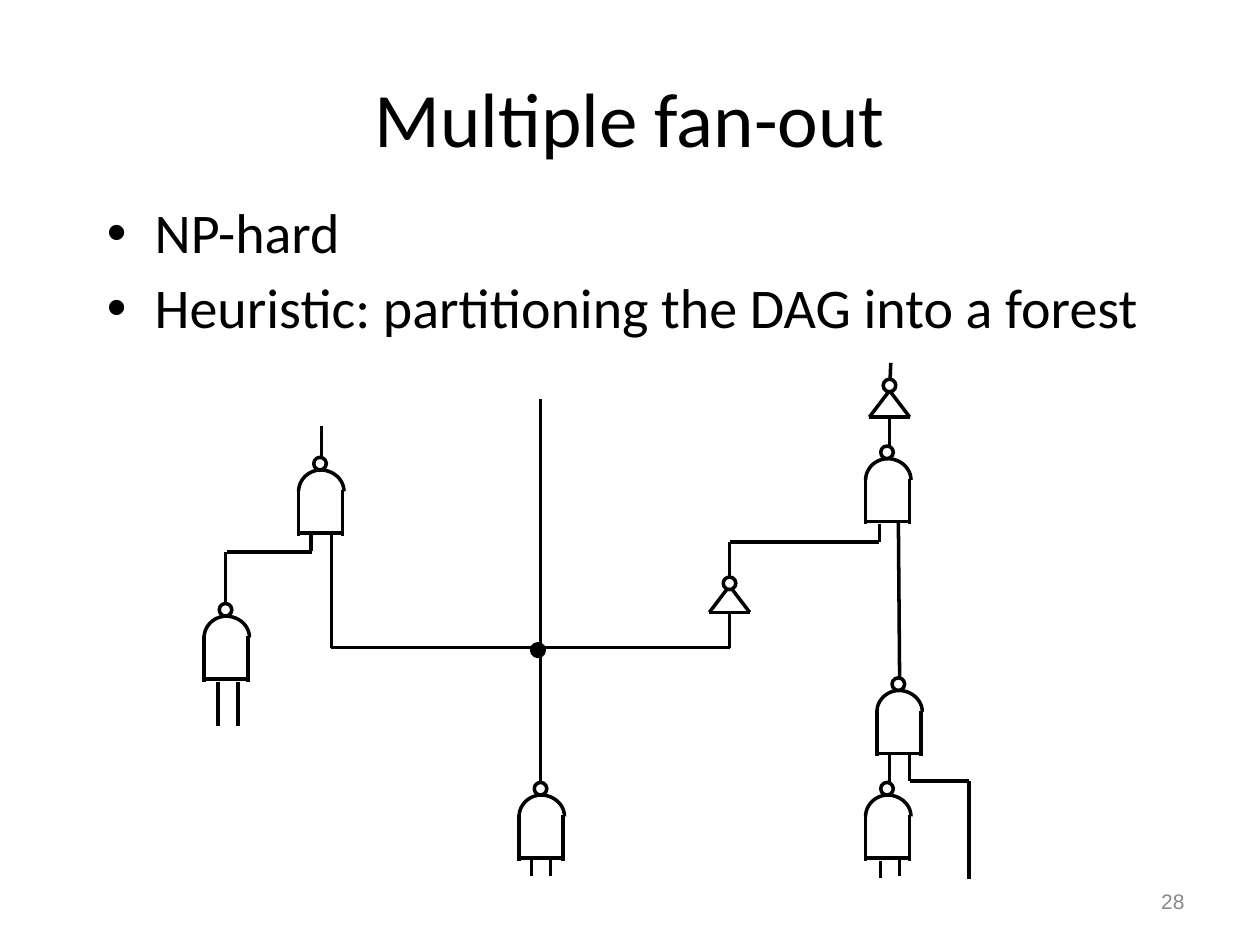
from dataclasses import dataclass
from itertools import pairwise
from math import cos, pi, sin

from lxml import etree
from pptx import Presentation
from pptx.dml.color import RGBColor
from pptx.enum.shapes import MSO_CONNECTOR, MSO_SHAPE
from pptx.enum.text import MSO_ANCHOR, PP_ALIGN
from pptx.oxml.ns import qn
from pptx.util import Pt

PX = 9144
STRAIGHT = MSO_CONNECTOR.STRAIGHT
OVAL = MSO_SHAPE.OVAL
TOP, MIDDLE = MSO_ANCHOR.TOP, MSO_ANCHOR.MIDDLE
LEFT, CENTER, RIGHT = PP_ALIGN.LEFT, PP_ALIGN.CENTER, PP_ALIGN.RIGHT
BUBBLE = 10
ARC_STEPS = 12


@dataclass(frozen=True)
class Theme:
    ink: RGBColor = RGBColor(0, 0, 0)
    paper: RGBColor = RGBColor(255, 255, 255)
    muted: RGBColor = RGBColor(0x89, 0x89, 0x89)
    text_font: str = "Calibri"
    number_font: str = "Arial"
    title_size: int = 44
    body_size: int = 32
    number_size: int = 12
    stroke: int = 2


THEME = Theme()

WIRES = [
    [(713, 413), (714, 538)],
    [(437, 681), (437, 695)],
    [(422, 681), (422, 695)],
    [(579, 486), (579, 500), (579, 514)],
    [(263, 423), (263, 437), (263, 514), (429, 514), (579, 514)],
    [(429, 317), (429, 514), (429, 613), (429, 627)],
    [(255, 338), (255, 363)],
    [(189, 541), (189, 576)],
    [(173, 541), (173, 576)],
    [(247, 423), (247, 437)],
    [(180, 438), (248, 438)],
    [(179, 438), (179, 480)],
    [(714, 681), (714, 695)],
    [(699, 683), (699, 697)],
    [(722, 599), (722, 613), (722, 620), (769, 620), (769, 698)],
    [(706, 599), (706, 613), (706, 627)],
    [(698, 416), (698, 430), (579, 430), (579, 444), (579, 458)],
    [(706, 331), (706, 345), (706, 359)],
    [(707, 288), (706, 311)],
]
NAND_GATES = [(161, 479), (236, 363), (411, 621), (686, 621), (695, 538), (686, 354)]
INVERTERS = [(579, 465, 458), (706, 310, 301)]


def add_text(page, frame, lines, font, size, color, align=LEFT, anchor=TOP, bullet=False):
    """Add a text box with one paragraph per line."""
    box = page.shapes.add_textbox(*(n * PX for n in frame))
    text = box.text_frame
    text.word_wrap = True
    text.vertical_anchor = anchor
    for index, line in enumerate(lines):
        para = text.add_paragraph() if index else text.paragraphs[0]
        para.alignment = align
        if bullet:
            para.line_spacing = 0.9
            para.space_before = Pt(8 if index else 0)
            add_bullet(para)
        span = para.add_run()
        span.text = line
        span.font.name = font
        span.font.size = Pt(size)
        span.font.color.rgb = color


def add_bullet(para):
    """Give a paragraph a round bullet and a hanging indent."""
    properties = para._p.get_or_add_pPr()
    properties.set("marL", str(38 * PX))
    properties.set("indent", str(-38 * PX))
    etree.SubElement(properties, qn("a:buFont"), typeface=THEME.number_font)
    etree.SubElement(properties, qn("a:buChar"), char="•")


def set_stroke(shape):
    """Apply the common diagram stroke."""
    shape.line.color.rgb = THEME.ink
    shape.line.width = Pt(THEME.stroke)


def add_wire(page, points):
    """Join successive points with straight lines."""
    for start, end in pairwise(points):
        ends = (n * PX for n in (*start, *end))
        line = page.shapes.add_connector(STRAIGHT, *ends)
        set_stroke(line)
        etree.SubElement(line._element.spPr, qn("a:effectLst"))


def add_dot(page, x, y, fill):
    """Add a small outlined circle."""
    dot = page.shapes.add_shape(OVAL, x * PX, y * PX, BUBBLE * PX, BUBBLE * PX)
    dot.shadow.inherit = False
    dot.fill.solid()
    dot.fill.fore_color.rgb = fill
    set_stroke(dot)


def add_quarter_arc(page, center_x, base_y, reach_x, height):
    """Draw a quarter ellipse from its side end up to its crown."""
    angles = [pi / 2 * step / ARC_STEPS for step in range(ARC_STEPS + 1)]
    points = [
        ((center_x + reach_x * cos(angle)) * PX, (base_y - height * sin(angle)) * PX)
        for angle in angles
    ]
    builder = page.shapes.build_freeform(*points[0])
    builder.add_line_segments(points[1:], close=False)
    arc = builder.convert_to_shape()
    arc.shadow.inherit = False
    arc.fill.background()
    set_stroke(arc)


def add_nand_gate(page, x, y):
    """Draw an upward NAND gate with its bubble."""
    for side in (x + 1, x + 36):
        add_wire(page, [(side, y + 62), (side, y + 26)])
    add_wire(page, [(x, y + 60), (x + 36, y + 60)])
    add_quarter_arc(page, x + 19, y + 27, -18, 17)
    add_quarter_arc(page, x + 18, y + 27, 19, 17)
    add_dot(page, x + 13, y, THEME.paper)


def add_inverter(page, x, y, bubble_top):
    """Draw an upward inverter with its apex at the given point."""
    left, right = (x - 16, y + 21), (x + 16, y + 21)
    add_wire(page, [left, (x, y), right, left])
    add_dot(page, x - 5, bubble_top, THEME.paper)


def main():
    """Build and save the slide."""
    deck = Presentation()
    deck.slide_width, deck.slide_height = 1000 * PX, 750 * PX
    page = deck.slides.add_slide(deck.slide_layouts[6])
    add_text(page, (50, 30, 900, 125), ["Multiple fan-out"], THEME.text_font,
             THEME.title_size, THEME.ink, CENTER, MIDDLE)
    add_text(page, (75, 158, 874, 122),
             ["NP-hard", "Heuristic: partitioning the DAG into a forest"],
             THEME.text_font, THEME.body_size, THEME.ink, bullet=True)
    add_text(page, (717, 695, 233, 40), ["28"], THEME.number_font,
             THEME.number_size, THEME.muted, RIGHT, MIDDLE)
    for points in WIRES:
        add_wire(page, points)
    for gate in NAND_GATES:
        add_nand_gate(page, *gate)
    for inverter in INVERTERS:
        add_inverter(page, *inverter)
    add_dot(page, 422, 511, THEME.ink)
    deck.save("out.pptx")


if __name__ == "__main__":
    main()
